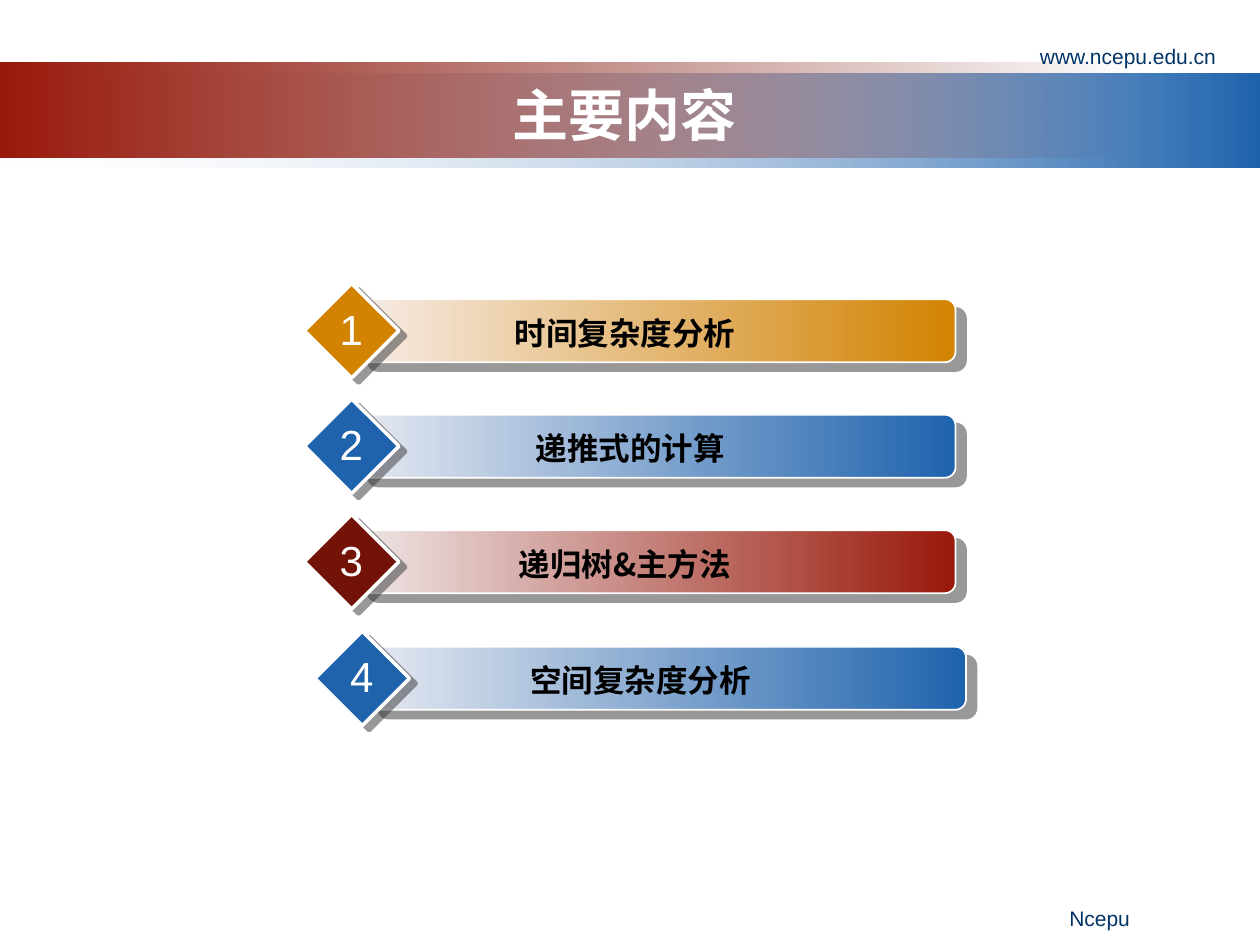
"""Build the contents slide: a title band and four numbered topic bars."""
from dataclasses import dataclass
from typing import Optional

from lxml.etree import SubElement
from pptx import Presentation
from pptx.dml.color import RGBColor
from pptx.enum.shapes import MSO_SHAPE as Shape
from pptx.enum.text import MSO_ANCHOR as Anchor, PP_ALIGN as Align
from pptx.oxml.ns import qn
from pptx.util import Inches, Pt

COLUMNS, ROWS = 120, 90
WIDTH, HEIGHT = Inches(10), Inches(7.5)
LATIN, CHINESE = "Arial", "Noto Sans CJK SC"
WHITE, NAVY = "FFFFFF", "003366"
ROW_PITCH = 11


@dataclass(frozen=True)
class Area:
    """A rectangle in grid columns and rows."""
    left: float
    top: float
    width: float
    height: float

    def moved(self, columns: float, rows: float) -> "Area":
        """Return the same rectangle shifted on the grid."""
        return Area(self.left + columns, self.top + rows, self.width, self.height)

    def lengths(self) -> tuple:
        """Return left, top, width and height as slide lengths."""
        column, row = WIDTH / COLUMNS, HEIGHT / ROWS
        return (round(self.left * column), round(self.top * row),
                round(self.width * column), round(self.height * row))


@dataclass(frozen=True)
class Style:
    """The look of one run of text."""
    size: float
    color: str
    font: str = LATIN
    bold: bool = False


@dataclass(frozen=True)
class Gradient:
    """A left-to-right blend, with an optional stop that is fully clear."""
    start: str
    end: str
    clear_stop: Optional[int] = None


@dataclass(frozen=True)
class Topic:
    """One numbered row of the contents list."""
    label: str
    gradient: Gradient
    diamond: str
    shift: tuple = (0, 0)
    label_shift: float = 0


BLUE_BAR = Gradient("E6E9F1", "1F63AD")
TOPICS = [
    Topic("时间复杂度分析", Gradient("F6ECE6", "D28302"), "D28302"),
    Topic("递推式的计算", BLUE_BAR, "1F63AD", label_shift=0.5),
    Topic("递归树&主方法", Gradient("EEE6E6", "99190B"), "731308"),
    Topic("空间复杂度分析", BLUE_BAR, "1F63AD", (1, 0.1), 0.5),
]
BANDS = [
    (Area(0, 7, 120, 9), Gradient("F1F2F7", "1F63AD", 0)),
    (Area(0, 6, 108, 9), Gradient("99190B", "6D1208", 1)),
]
BAR, DIAMOND = Area(34, 28.5, 57, 6), Area(29, 27, 9, 9)
LABEL, NUMBER = Area(37, 29.3, 45, 4.8), Area(31.1, 28.3, 4.7, 6)


def color(value: str) -> RGBColor:
    """Turn a hex string into a colour."""
    return RGBColor.from_string(value)


def write(box, text: str, style: Style, align=Align.CENTER) -> None:
    """Put one styled run into the first paragraph of a box."""
    para = box.text_frame.paragraphs[0]
    para.alignment = align
    span = para.add_run()
    span.text = text
    span.font.size, span.font.bold = Pt(style.size), style.bold
    span.font.color.rgb = color(style.color)
    span.font.name = style.font
    SubElement(span.font._element, qn("a:ea"), typeface=style.font)


def add_text(page, area: Area, text: str, style: Style,
             align=Align.CENTER, wrap: bool = True) -> None:
    """Add a text box."""
    box = page.shapes.add_textbox(*area.lengths())
    box.text_frame.word_wrap = wrap
    write(box, text, style, align)


def add_plain_shape(page, kind, area: Area):
    """Add a preset shape with neither line nor shadow."""
    shape = page.shapes.add_shape(kind, *area.lengths())
    shape.shadow.inherit = False
    shape.line.fill.background()
    return shape


def fill_gradient(shape, gradient: Gradient) -> None:
    """Fill a shape with a left-to-right gradient."""
    shape.fill.gradient()
    shape.fill.gradient_angle = 0
    for stop, value in zip(shape.fill.gradient_stops, (gradient.start, gradient.end)):
        stop.color.rgb = color(value)
    if gradient.clear_stop is not None:
        clears = list(shape._element.spPr.iter(qn("a:srgbClr")))
        SubElement(clears[gradient.clear_stop], qn("a:alpha"), val="0")


def outline_and_shade(shape, line: float, distance: float, angle: int) -> None:
    """Give a shape a white outline and a hard grey shadow."""
    shape.line.color.rgb, shape.line.width = color(WHITE), Pt(line)
    effects = shape._element.spPr.find(qn("a:effectLst"))
    shadow = SubElement(effects, qn("a:outerShdw"), blurRad="0", dist=str(Pt(distance)),
                        dir=str(angle * 60000), algn="ctr", rotWithShape="0")
    tone = SubElement(shadow, qn("a:srgbClr"), val="333333")
    SubElement(tone, qn("a:alpha"), val="50000")


def add_topic(page, index: int, topic: Topic) -> None:
    """Draw one topic: bar, diamond, label and number."""
    across, down = topic.shift
    down += index * ROW_PITCH
    bar = add_plain_shape(page, Shape.ROUNDED_RECTANGLE, BAR.moved(across, down))
    fill_gradient(bar, topic.gradient)
    outline_and_shade(bar, 1, 7.8, 40)
    diamond = add_plain_shape(page, Shape.DIAMOND, DIAMOND.moved(across, down))
    diamond.fill.solid()
    diamond.fill.fore_color.rgb = color(topic.diamond)
    outline_and_shade(diamond, 2, 5, 37)
    add_text(page, LABEL.moved(across + topic.label_shift, down), topic.label,
             Style(18, "000000", CHINESE, True))
    add_text(page, NUMBER.moved(across, down), str(index + 1), Style(24, WHITE), wrap=False)


def add_title(page, text: str) -> None:
    """Place the title placeholder on top of the bands."""
    title = page.shapes.title
    title.left, title.top, title.width, title.height = Area(11, 7.2, 97, 7.4).lengths()
    title.text_frame.vertical_anchor = Anchor.MIDDLE
    write(title, text, Style(32, WHITE, CHINESE, True))
    page.shapes._spTree.append(title._element)


def main() -> None:
    """Build and save the deck."""
    deck = Presentation()
    deck.slide_width, deck.slide_height = WIDTH, HEIGHT
    page = deck.slides.add_slide(deck.slide_layouts[5])
    for area, gradient in BANDS:
        fill_gradient(add_plain_shape(page, Shape.RECTANGLE, area), gradient)
    add_title(page, "主要内容")
    small = Style(12, NAVY)
    add_text(page, Area(89, 3.6, 28, 3.2), "www.ncepu.edu.cn", small, Align.RIGHT)
    add_text(page, Area(70.8, 85.7, 38, 3.6), "Ncepu", small, Align.RIGHT)
    for index, topic in enumerate(TOPICS):
        add_topic(page, index, topic)
    deck.save("out.pptx")


if __name__ == "__main__":
    main()
